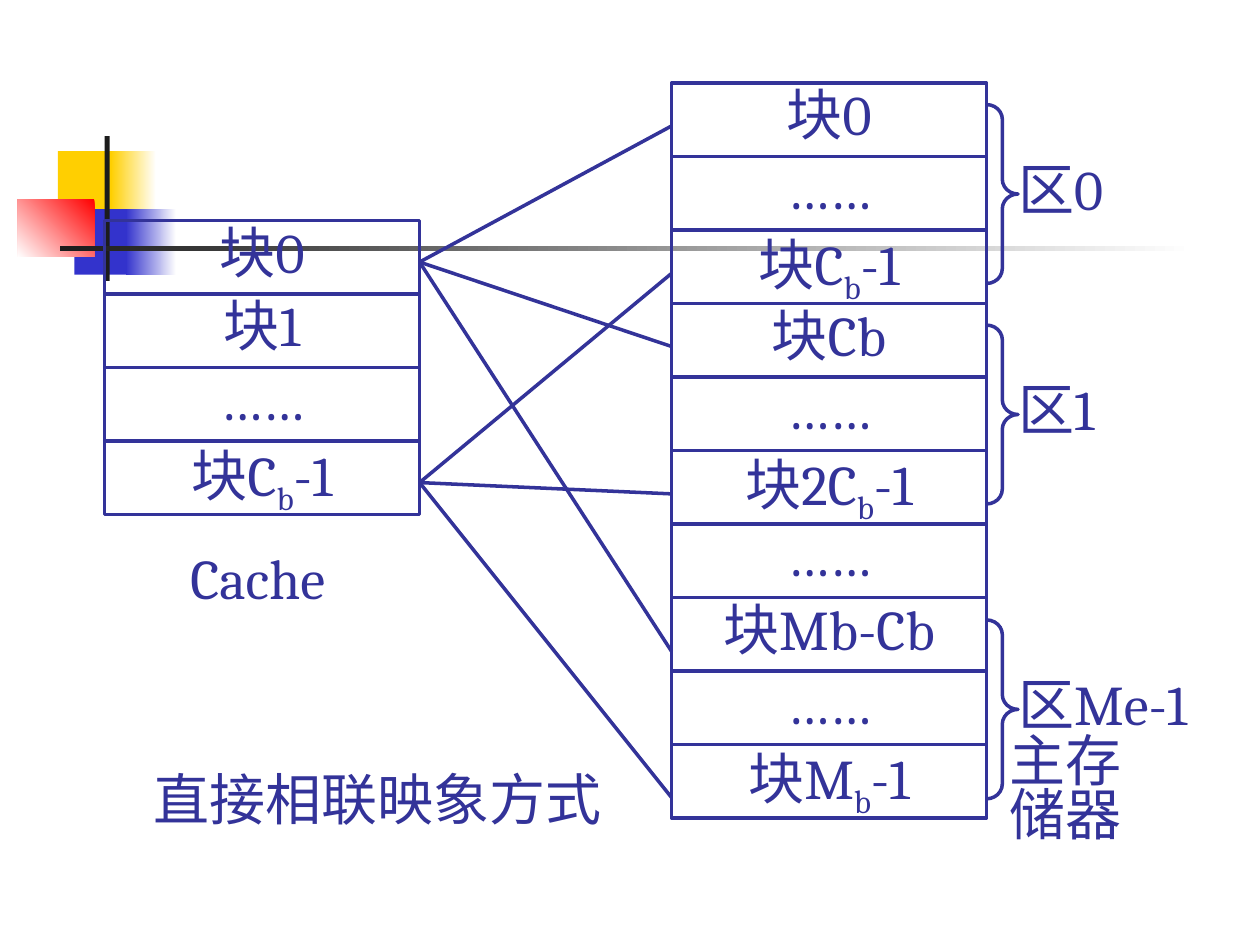
from dataclasses import dataclass

from lxml.etree import SubElement
from pptx import Presentation
from pptx.dml.color import RGBColor
from pptx.enum.shapes import MSO_CONNECTOR as Link, MSO_SHAPE as Kind
from pptx.enum.text import MSO_ANCHOR as Anchor, PP_ALIGN as Align
from pptx.oxml.ns import qn
from pptx.shapes.autoshape import Shape
from pptx.shapes.shapetree import SlideShapes
from pptx.util import Inches, Pt

INK = RGBColor(0x33, 0x33, 0x99)
GOLD = RGBColor(0xFF, 0xCF, 0x01)
BLUE = RGBColor(0x33, 0x33, 0xCC)
RED = RGBColor(0xFF, 0x00, 0x00)
BLACK = RGBColor(0x1C, 0x1C, 0x1C)
WHITE = RGBColor(0xFF, 0xFF, 0xFF)
ROW = 7 / 12
WIDE = 2.5
CACHE_X, MAIN_X = 0.83, 5.33


@dataclass
class Box:
    left: float
    top: float
    width: float
    height: float

    def place(self) -> list[int]:
        return [Inches(n) for n in (self.left, self.top, self.width, self.height)]


@dataclass
class Patch:
    box: Box
    color: RGBColor
    fade: RGBColor | None = None
    angle: int = 180


@dataclass
class Stack:
    left: float
    top: float
    rows: list[str]


@dataclass
class Label:
    text: str
    box: Box
    align: Align = Align.CENTER
    wrap: bool = False


@dataclass
class Zone:
    text: str
    top: float
    width: float


@dataclass
class Fan:
    start: float
    ends: list[float]


PATCHES = [
    Patch(Box(0.46, 1.2, 0.48, 0.52), GOLD),
    Patch(Box(0.88, 1.2, 0.36, 0.52), WHITE, GOLD),
    Patch(Box(0.59, 1.66, 0.46, 0.52), BLUE),
    Patch(Box(1, 1.66, 0.4, 0.52), WHITE, BLUE),
    Patch(Box(0.14, 1.58, 0.61, 0.46), RED, WHITE, 225),
    Patch(Box(0.83, 1.08, 0.04, 1.15), BLACK),
    Patch(Box(0.48, 1.95, 9, 0.04), WHITE, BLACK),
]
STACKS = [
    Stack(CACHE_X, 1.75, ["块0", "块1", "……", "块C_b_-1"]),
    Stack(MAIN_X, 0.66, ["块0", "……", "块C_b_-1", "块Cb", "……", "块2C_b_-1",
                         "……", "块Mb-Cb", "……", "块M_b_-1"]),
]
LABELS = [
    Label("Cache", Box(1.17, 4.42, 1.75, 0.42)),
    Label("主存\v储器", Box(7.92, 5.83, 1.08, 0.92)),
    Label("直接相联映象方式", Box(0.5, 6.17, 5, 0.42)),
]
ZONES = [Zone("区0", 0.83, 1.1), Zone("区1", 2.58, 1.1), Zone("区Me-1", 4.92, 1.8)]
FANS = [Fan(2.08, [1, 2.75, 5.17]), Fan(3.83, [2.17, 3.92, 6.33])]


def write(shape: Shape, text: str, align: Align = Align.CENTER, wrap: bool = False) -> None:
    frame = shape.text_frame
    frame.word_wrap = wrap
    frame.vertical_anchor = Anchor.MIDDLE
    frame.margin_left = frame.margin_right = Inches(0.08)
    frame.margin_top = frame.margin_bottom = Inches(0.04)
    para = frame.paragraphs[0]
    head, *tail = text.split("_")
    para.text = head
    for i, part in enumerate(tail):
        run = para.add_run()
        run.text = part
        if i % 2 == 0:
            run.font._element.set("baseline", "-25000")
    para.alignment = align
    para.line_spacing = 0.8
    font = para.font
    font.name, font.size = "Cambria", Pt(32)
    font.color.rgb = INK


def outline(shapes: SlideShapes, kind: Kind, box: Box) -> Shape:
    shape = shapes.add_shape(kind, *box.place())
    shape.shadow.inherit = False
    shape.fill.background()
    shape.line.color.rgb = INK
    shape.line.width = Pt(2)
    return shape


def draw_patch(shapes: SlideShapes, patch: Patch) -> None:
    shape = shapes.add_shape(Kind.RECTANGLE, *patch.box.place())
    shape.shadow.inherit = False
    shape.line.fill.background()
    fill = shape.fill
    if patch.fade is None:
        fill.solid()
        fill.fore_color.rgb = patch.color
        return
    fill.gradient()
    fill.gradient_angle = patch.angle
    for stop, color in zip(fill.gradient_stops, (patch.color, patch.fade)):
        stop.color.rgb = color


def draw_stack(shapes: SlideShapes, stack: Stack) -> None:
    for i, text in enumerate(stack.rows):
        box = Box(stack.left, stack.top + i * ROW, WIDE, ROW)
        write(outline(shapes, Kind.RECTANGLE, box), text)


def draw_label(shapes: SlideShapes, label: Label) -> None:
    write(shapes.add_textbox(*label.box.place()), label.text, label.align, label.wrap)


def draw_zone(shapes: SlideShapes, zone: Zone) -> None:
    brace = outline(shapes, Kind.RIGHT_BRACE, Box(MAIN_X + WIDE, zone.top, 0.25, 1.42))
    brace.adjustments[0] = 0.47
    box = Box(8, zone.top + 0.5, zone.width, 0.42)
    draw_label(shapes, Label(zone.text, box, Align.LEFT, True))


def draw_fan(shapes: SlideShapes, fan: Fan) -> None:
    for end in fan.ends:
        line = shapes.add_connector(Link.STRAIGHT, Inches(CACHE_X + WIDE), Inches(fan.start),
                                    Inches(MAIN_X), Inches(end))
        line.line.color.rgb = INK
        line.line.width = Pt(2)
        SubElement(line._element.spPr, qn("a:effectLst"))


def main() -> None:
    deck = Presentation()
    deck.slide_width, deck.slide_height = Inches(10), Inches(7.5)
    shapes = deck.slides.add_slide(deck.slide_layouts[6]).shapes
    for draw, items in ((draw_patch, PATCHES), (draw_stack, STACKS), (draw_label, LABELS),
                        (draw_zone, ZONES), (draw_fan, FANS)):
        for item in items:
            draw(shapes, item)
    deck.save("out.pptx")


if __name__ == "__main__":
    main()
